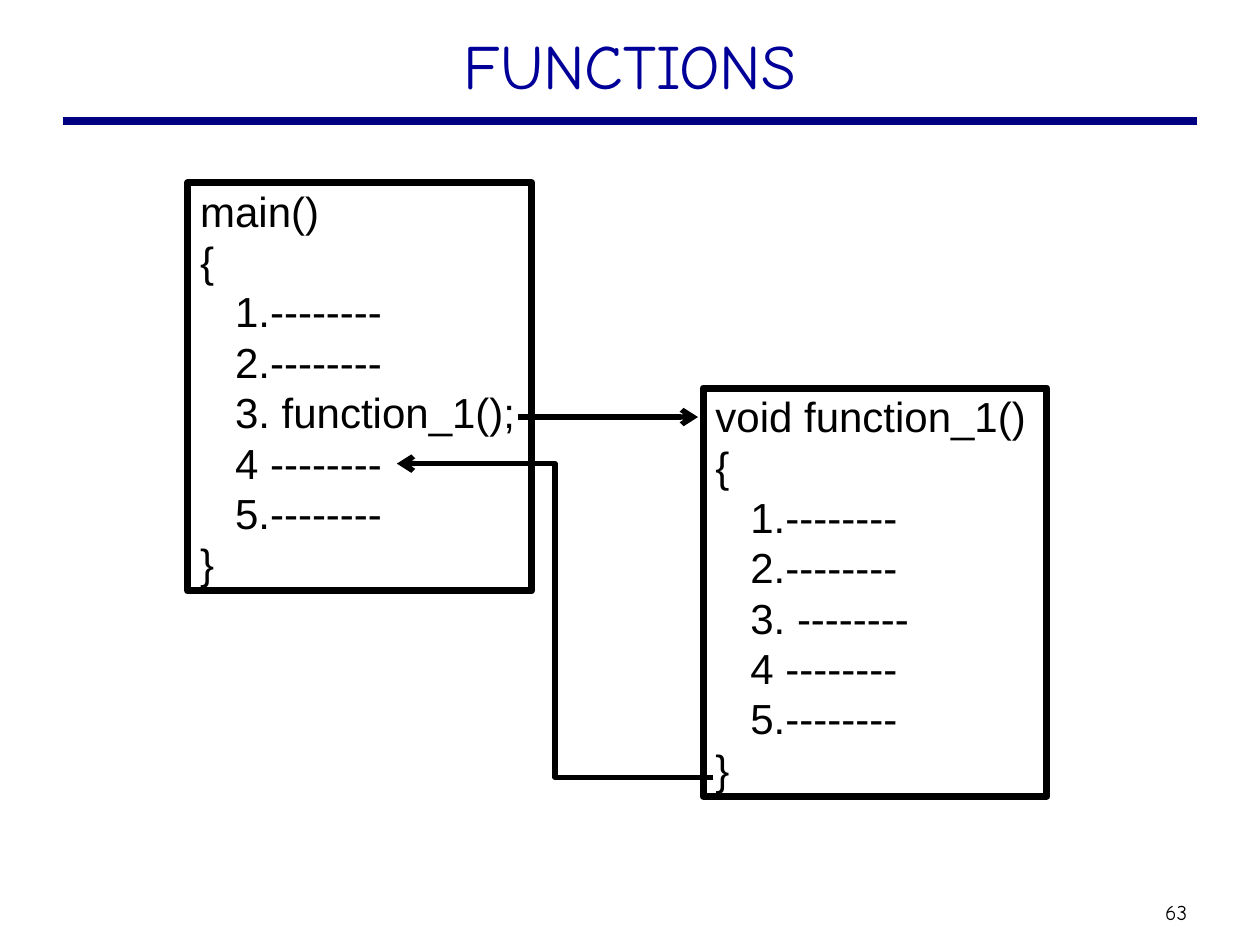
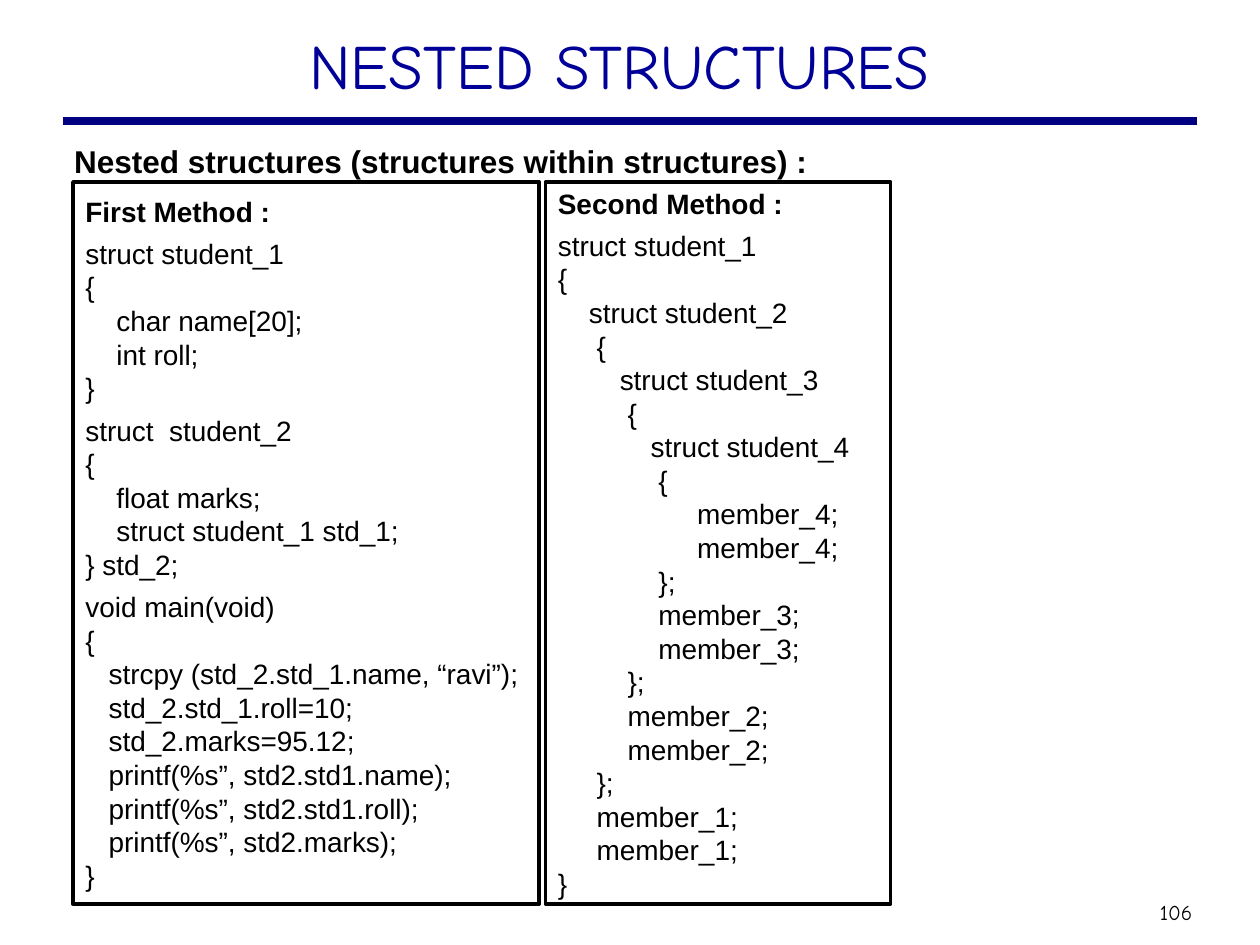
from lxml.etree import SubElement
from pptx import Presentation
from pptx.dml.color import RGBColor
from pptx.enum.shapes import MSO_CONNECTOR, MSO_SHAPE
from pptx.enum.text import MSO_ANCHOR, PP_ALIGN
from pptx.oxml.ns import qn
from pptx.util import Inches, Pt

BLACK = RGBColor(0x00, 0x00, 0x00)
NAVY = RGBColor(0x00, 0x00, 0x80)
TITLE_BLUE = RGBColor(0x00, 0x00, 0x99)
HAND, SANS = "Comic Neue", "Arial"
COLS, ROWS = 100, 75
UNIT = Inches(0.1)
LINE_PITCH = 1.2
SECTION_GAP = Pt(5)

CALL_LINES = """{head}
{{
   1.--------
   2.--------
   3. {third}
   4 --------
   5.--------
}}"""

FIRST_METHOD = """First Method :

struct student_1
{
    char name[20];
    int roll;
}

struct  student_2
{
    float marks;
    struct student_1 std_1;
} std_2;

void main(void)
{
   strcpy (std_2.std_1.name, “ravi”);
   std_2.std_1.roll=10;
   std_2.marks=95.12;
   printf(%s”, std2.std1.name);
   printf(%s”, std2.std1.roll);
   printf(%s”, std2.marks);
}"""

SECOND_METHOD = """Second Method :

struct student_1
{
    struct student_2
     {
        struct student_3
         {
            struct student_4
             {
                  member_4;
                  member_4;
             };
             member_3;
             member_3;
         };
         member_2;
         member_2;
     };
     member_1;
     member_1;
}"""


def grid(*cells):
    """Turn grid columns and rows into slide lengths."""
    return [round(UNIT * cell) for cell in cells]


def apply(target, **values):
    """Set several attributes on one object."""
    for name, value in values.items():
        setattr(target, name, value)


def style_font(font, color=BLACK, **values):
    """Set a font's values and its colour."""
    apply(font, **values)
    font.color.rgb = color


def add_label(s, cells, text, align=PP_ALIGN.LEFT, anchor=MSO_ANCHOR.TOP, **font):
    """Add one line of text at a place on the grid."""
    tf = s.shapes.add_textbox(*grid(*cells)).text_frame
    apply(tf, word_wrap=True, vertical_anchor=anchor)
    p = tf.paragraphs[0]
    apply(p, text=text, alignment=align)
    style_font(p.runs[0].font, **font)


def add_line(s, ends, width, color=BLACK, kind=MSO_CONNECTOR.STRAIGHT, arrow=False):
    """Add a connector, with an arrowhead at its end if wanted."""
    line = s.shapes.add_connector(kind, *grid(*ends))
    line.line.width = Pt(width)
    line.line.color.rgb = color
    spPr = line.element.spPr
    if arrow:
        ln = spPr.get_or_add_ln()
        SubElement(ln, qn("a:round"))
        SubElement(ln, qn("a:tailEnd"), type="arrow")
    SubElement(spPr, qn("a:effectLst"))


def add_code_box(s, cells, code, size, border, bold_head=False):
    """Add a framed listing; a blank line in the code opens a gap."""
    box = s.shapes.add_shape(MSO_SHAPE.RECTANGLE, *grid(*cells))
    box.shadow.inherit = False
    box.fill.background()
    box.line.width = Pt(border)
    box.line.color.rgb = BLACK
    SubElement(box.element.spPr.get_or_add_ln(), qn("a:round"))
    tf = box.text_frame
    apply(tf, word_wrap=True, vertical_anchor=MSO_ANCHOR.MIDDLE,
          margin_right=Inches(0.05))
    for n, section in enumerate(code.split("\n\n")):
        for i, text in enumerate(section.split("\n")):
            first = n == i == 0
            p = tf.paragraphs[0] if first else tf.add_paragraph()
            apply(p, text=text, alignment=PP_ALIGN.LEFT,
                  line_spacing=Pt(size * LINE_PITCH))
            if n and not i:
                p.space_before = SECTION_GAP
            style_font(p.runs[0].font, name=SANS, size=Pt(size),
                       bold=bold_head and first)


def add_slide(prs, title, number):
    """Add a blank slide with the shared title, rule and page number."""
    s = prs.slides.add_slide(prs.slide_layouts[6])
    add_line(s, (5, 9.6, COLS - 5, 9.6), 4.5, NAVY)
    add_label(s, (91, 70.9, 4.7, 3), number, PP_ALIGN.CENTER, MSO_ANCHOR.MIDDLE,
              name=HAND, size=Pt(12))
    add_label(s, (7.5, 1.6, COLS - 15, 7.6), title, PP_ALIGN.CENTER,
              name=HAND, size=Pt(36), color=TITLE_BLUE)
    return s


def add_functions(prs):
    """Show a call from main and the return from the function."""
    s = add_slide(prs, "FUNCTIONS", "63")
    listings = [(14.9, 14.5, "main()", "function_1();"),
                (55.8, 30.8, "void function_1()", "--------")]
    for left, top, head, third in listings:
        code = CALL_LINES.format(head=head, third=third)
        add_code_box(s, (left, top, 27.3, 32.4), code, 24, 4)
    add_line(s, (41.1, 33.1, 55.4, 33.1), 3, arrow=True)
    add_line(s, (56.6, 61.7, 31.5, 36.8), 3, kind=MSO_CONNECTOR.ELBOW, arrow=True)


def add_nested_structures(prs):
    """Show two ways of nesting structures side by side."""
    s = add_slide(prs, "NESTED STRUCTURES ", "106")
    add_label(s, (4.9, 10.8, 89.9, 4), "Nested structures (structures within structures) :",
              name=SANS, size=Pt(18), bold=True)
    for left, width, code in [(5.8, 37, FIRST_METHOD), (43.3, 27.4, SECOND_METHOD)]:
        add_code_box(s, (left, 14.45, width, 57.3), code, 16, 2, bold_head=True)


def main():
    """Build and save the slides."""
    prs = Presentation()
    prs.slide_width, prs.slide_height = grid(COLS, ROWS)
    add_functions(prs)
    add_nested_structures(prs)
    prs.save("out.pptx")


if __name__ == "__main__":
    main()
